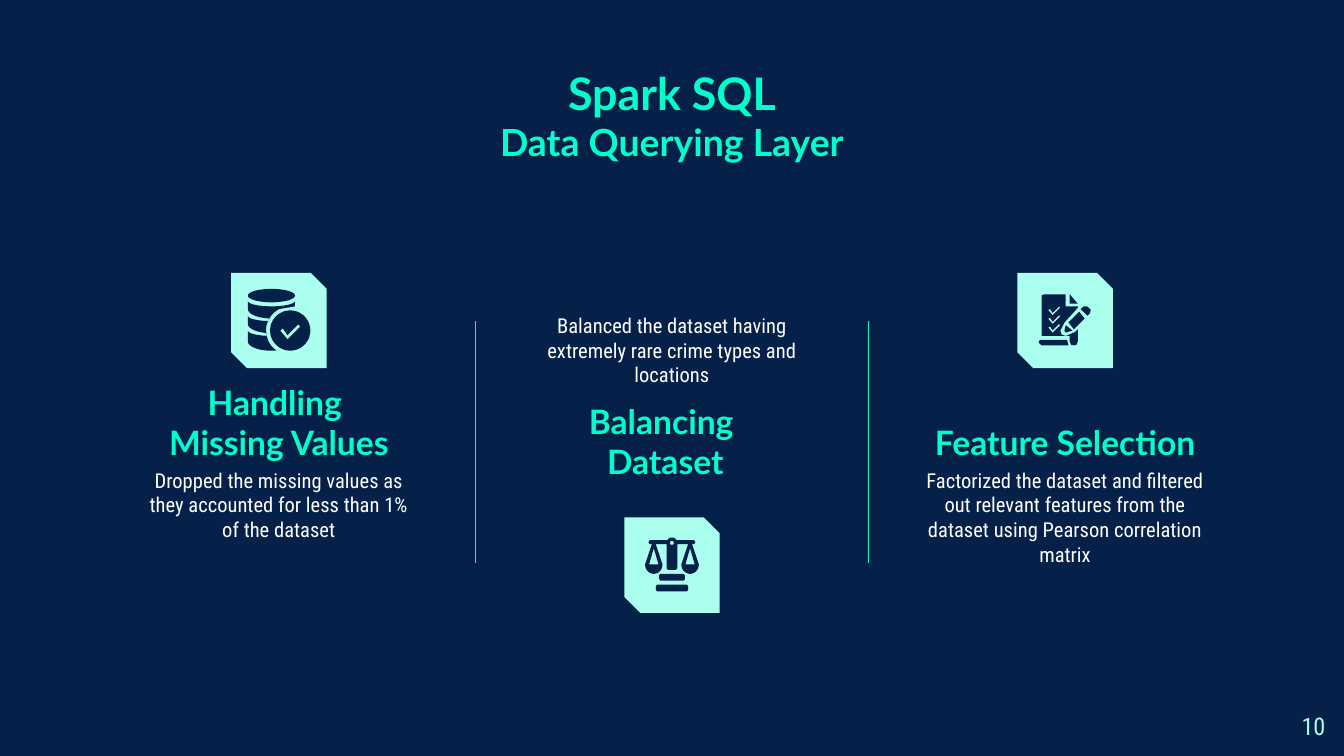
import math

import pptx
import pptx.dml.color
import pptx.enum.shapes
import pptx.enum.text
import pptx.oxml.ns
import pptx.util
from lxml import etree

WIDTH = 10
HEIGHT = WIDTH * 9 / 16
MIDDLE = WIDTH / 2
PITCH = WIDTH * 11.7 / 40
BADGE = 0.71
COLORS = {
    "background": "05214A",
    "accent": "00FFCD",
    "badge": "AAFFEE",
    "body": "FFFFFF",
}
STYLES = {
    "title": {"name": "Lato", "size": pptx.util.Pt(24), "bold": True},
    "subtitle": {"name": "Lato", "size": pptx.util.Pt(20), "bold": True},
    "heading": {"name": "Lato", "size": pptx.util.Pt(18), "bold": True},
    "body": {"name": "Roboto Condensed", "size": pptx.util.Pt(11)},
    "number": {"name": "Roboto Condensed", "size": pptx.util.Pt(13)},
}
STYLE_COLORS = {
    "title": "accent", "subtitle": "accent", "heading": "accent",
    "body": "body", "number": "badge",
}
ALIGN = pptx.enum.text.PP_ALIGN
ANCHOR = pptx.enum.text.MSO_ANCHOR


def rgb(color):
    return pptx.dml.color.RGBColor.from_string(COLORS[color])


def inches(*lengths):
    return [pptx.util.Inches(length) for length in lengths]


def paint(shape, color):
    shape.shadow.inherit = False
    shape.fill.solid()
    shape.fill.fore_color.rgb = rgb(color)
    shape.line.fill.background()


def add_text(slide, box, lines, align=ALIGN.CENTER, anchor=ANCHOR.TOP):
    frame = slide.shapes.add_textbox(*inches(*box)).text_frame
    frame_format = {"word_wrap": True, "vertical_anchor": anchor}
    for side in ("left", "right", "top", "bottom"):
        frame_format[f"margin_{side}"] = pptx.util.Inches(0.1)
    for attribute, value in frame_format.items():
        setattr(frame, attribute, value)
    for index, (style, words) in enumerate(lines):
        paragraph = frame.add_paragraph() if index else frame.paragraphs[0]
        paragraph.alignment = align
        run = paragraph.add_run()
        run.text = words
        for attribute, value in STYLES[style].items():
            setattr(run.font, attribute, value)
        run.font.color.rgb = rgb(STYLE_COLORS[style])


def add_divider(slide, x):
    divider = slide.shapes.add_connector(
        pptx.enum.shapes.MSO_CONNECTOR.STRAIGHT, *inches(x, 2.39, x, 4.19))
    divider.line.color.rgb = rgb("accent")
    divider.line.width = pptx.util.Pt(0.75)
    etree.SubElement(divider._element.spPr, pptx.oxml.ns.qn("a:effectLst"))


def add_badge(slide, center):
    x, y = center
    badge = slide.shapes.add_shape(
        pptx.enum.shapes.MSO_SHAPE.SNIP_2_DIAG_RECTANGLE,
        *inches(x - BADGE / 2, y - BADGE / 2, BADGE, BADGE))
    badge.adjustments[0], badge.adjustments[1] = 0, 0.167
    paint(badge, "badge")


def add_outline(slide, center, *contours):
    placed = [[tuple(inches(center[0] + x / 100, center[1] + y / 100))
               for x, y in contour] for contour in contours]
    builder = slide.shapes.build_freeform(*placed[0][0])
    for index, contour in enumerate(placed):
        if index:
            builder.move_to(*contour[0])
        builder.add_line_segments(contour[1:], close=True)
    paint(builder.convert_to_shape(), "background")


def arc(x, y, rx, ry, start=0, end=360, steps=36):
    angles = [math.radians(start + (end - start) * i / steps)
              for i in range(steps + 1)]
    return [(x + rx * math.cos(a), y + ry * math.sin(a)) for a in angles]


def bar(left, top, right, bottom, cut=1):
    return [(left + cut, top), (right - cut, top), (right, top + cut),
            (right, bottom - cut), (right - cut, bottom),
            (left + cut, bottom), (left, bottom - cut), (left, top + cut)]


def tick(x, y, scale=1):
    outline = [(0, 4.5), (2, 3), (5.5, 8), (13.5, 0), (15, 1.5), (5.5, 11)]
    return [(x + dx * scale, y + dy * scale) for dx, dy in outline]


def clear_of_disc(points, x=8.5, y=7.5, radius=18):
    return [(min(px, x - math.sqrt(radius ** 2 - (py - y) ** 2)), py)
            if abs(py - y) < radius else (px, py) for px, py in points]


def draw_database(slide, center):
    add_outline(slide, center, arc(-5.5, -18.5, 17.5, 5))
    for top, bottom in ((-14.5, -8.5), (-3.5, 2.5), (7.5, 15.5)):
        band = (arc(-5.5, top, 17.5, 4, 180, 0) + [(12, top + 4)]
                + arc(-5.5, bottom, 17.5, 7, 0, 180))
        add_outline(slide, center, clear_of_disc(band))
    add_outline(slide, center, arc(8.5, 7.5, 15, 15), tick(1, 3))


def draw_scales(slide, center):
    add_outline(slide, center, bar(-12, 14.5, 12, 19.5))
    add_outline(slide, center, bar(-9.5, 6.5, 9.5, 11.5))
    beam = ([(-17.5, -17), (-16.5, -18.5), (-4, -18.5)]
            + arc(0, -16.5, 4, 4, 210, 330)
            + [(4, -18.5), (16.5, -18.5), (17.5, -17), (16.5, -15.5),
               (4, -15.5), (4, 2.5), (3, 3.5), (-3, 3.5), (-4, 2.5),
               (-4, -15.5), (-16.5, -15.5)])
    contours = [beam, arc(0, -16.5, 1.5, 1.5)]
    for x in (-13.5, 13.5):
        contours += [
            [(x - 1.5, -15.5), (x + 1.5, -15.5)]
            + arc(x, -0.5, 6.5, 7, 0, 180),
            [(x, -12.5), (x + 3.5, -0.5), (x - 3.5, -0.5)],
        ]
    add_outline(slide, center, *contours)


def draw_checklist(slide, center):
    page = [(-17.5, -18.5), (-16, -19.5), (0.5, -19.5), (0.5, -10.5),
            (9.5, -10.5), (9.5, -9.5), (-0.5, 1.5), (-3.5, 7.5),
            (-2.5, 10.5), (0.5, 11.5), (7.5, 8.5), (9.5, 6.5),
            (9.5, 15.5), (8.5, 18), (6.5, 18.5), (4.5, 18), (3.5, 15.5),
            (3.5, 11.5), (-17.5, 11.5)]
    ticks = [tick(-12.5, -10.5 + 6.5 * row, 0.6) for row in range(3)]
    eraser = [(11.5, -8.5), (14, -10.5), (16.5, -10.5), (19, -8),
              (18.5, -5.5), (16.5, -3.5)]
    pencil_tip = [(0.5, 3.5), (-0.5, 7.5), (0.5, 9), (5.5, 7.5)]
    pencil_body = [(10.5, -6.5), (2.5, 1.5), (6.5, 6.5), (14.5, -1.5)]
    fold = [(3.5, -19.5), (9.5, -12.5), (3.5, -12.5)]
    foot = [(-19.5, 15.5), (-18.5, 14.5), (1.5, 14.5), (2.5, 18.5),
            (-17.5, 18.5), (-19.5, 16.5)]
    add_outline(slide, center, page, *ticks)
    for part in (eraser, pencil_tip, pencil_body, fold, foot):
        add_outline(slide, center, part)


def add_step(slide, column, heading, heading_box, body, body_box,
             badge_y, draw_icon):
    x = MIDDLE + (column - 1) * PITCH
    shift, heading_top = heading_box
    body_top, body_width = body_box
    add_text(slide, (x - 1.46 + shift, heading_top, 2.92, 0.47),
             [("heading", line) for line in heading], anchor=ANCHOR.BOTTOM)
    add_text(slide, (x - body_width / 2, body_top, body_width, 1.1),
             [("body", body)])
    add_badge(slide, (x, badge_y))
    draw_icon(slide, (x, badge_y))


def main():
    deck = pptx.Presentation()
    deck.slide_width, deck.slide_height = inches(WIDTH, HEIGHT)
    slide = deck.slides.add_slide(deck.slide_layouts[6])
    slide.background.fill.solid()
    slide.background.fill.fore_color.rgb = rgb("background")
    upper, lower = 2.03 + BADGE / 2, 3.85 + BADGE / 2

    add_text(slide, (MIDDLE - 2.85, 0.39, 5.7, 1.03),
             [("title", "Spark SQL"), ("subtitle", "Data Querying Layer")])
    add_step(slide, 0, ["Handling ", "Missing Values"], (0, 3.07),
             "Dropped the missing values as they accounted for less than 1% "
             "of the dataset", (3.38, 2.24), upper, draw_database)
    add_step(slide, 1, ["Balancing ", "Dataset"], (-0.05, 3.21),
             "Balanced the dataset having extremely rare crime types and "
             "locations", (2.23, 2.43), lower, draw_scales)
    add_step(slide, 2, ["Feature Selection"], (0, 3.07),
             "Factorized the dataset and filtered out relevant features from "
             "the dataset using Pearson correlation matrix", (3.38, 2.43),
             upper, draw_checklist)
    for side in (-1, 1):
        add_divider(slide, MIDDLE + side * PITCH / 2)
    add_text(slide, (9.36, 5.19, 0.6, 0.43), [("number", "10")],
             align=ALIGN.RIGHT)
    deck.save("out.pptx")


if __name__ == "__main__":
    main()
